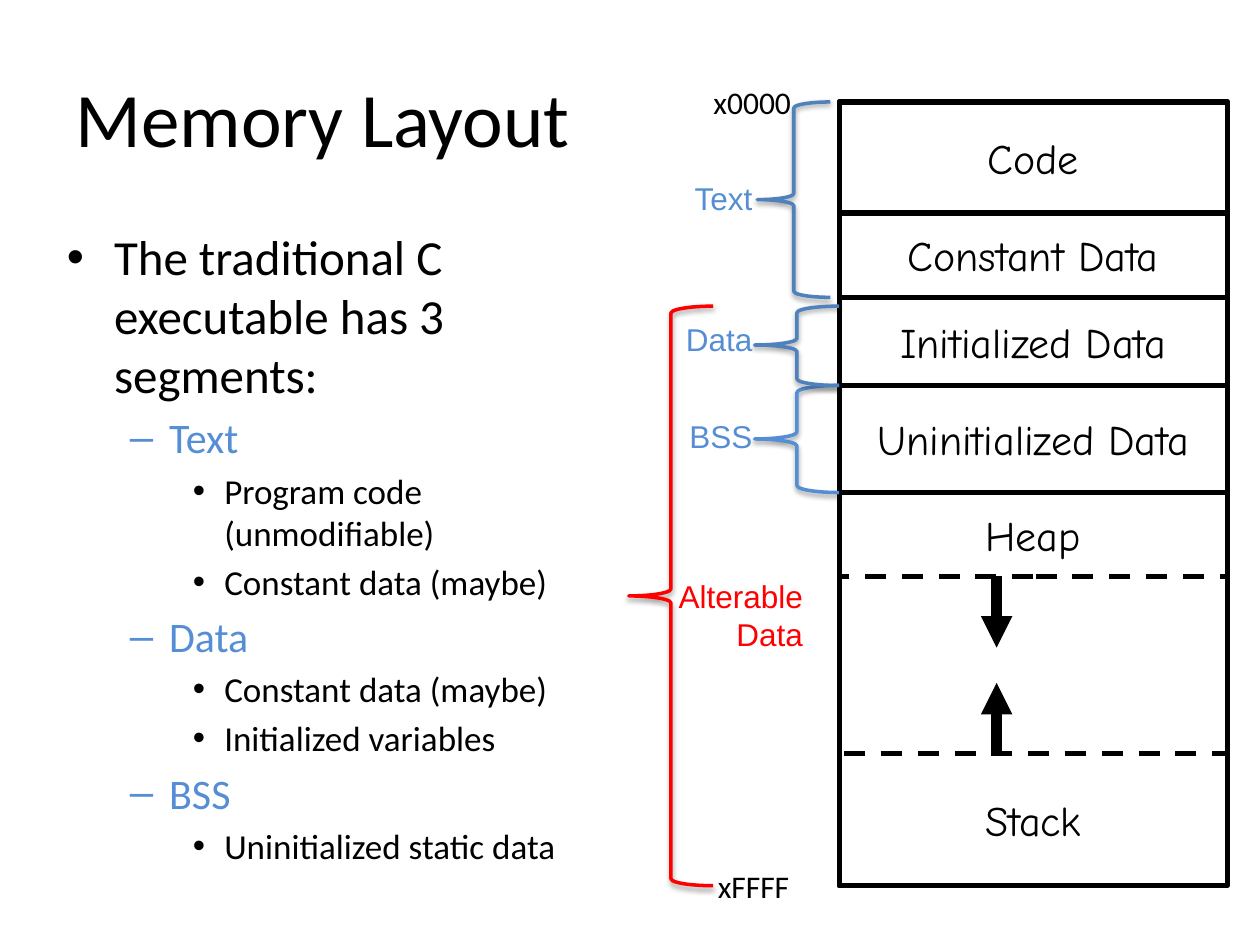
"""Build the Memory Layout slide: a segment outline beside a memory map."""
from typing import NamedTuple, Optional

import lxml.etree
import pptx
import pptx.dml.color
import pptx.enum.dml
import pptx.enum.shapes
import pptx.enum.text
import pptx.oxml.ns
import pptx.util

COLUMN = pptx.util.Inches(10) / 100
ROW = pptx.util.Inches(7.5) / 100
BLACK, BLUE, DEEP_BLUE, RED = "000000", "558ED5", "4F81BD", "FF0000"
MAP_LEFT, MAP_WIDTH, ARROW_COLUMN = 66.6, 30.8, 79.1
CODE_TOP, CONSTANT_TOP, INITIALIZED_TOP, UNINITIALIZED_TOP = 10.8, 22.53, 31.47, 40.8
HEAP_TOP, HEAP_END, STACK_TOP, MAP_END = 52.13, 61, 79.73, 93.73
DATA_TOP = 32.4
ALIGN = pptx.enum.text.PP_ALIGN
ANCHOR = pptx.enum.text.MSO_ANCHOR
AUTO_SIZE = pptx.enum.text.MSO_AUTO_SIZE
SHAPE = pptx.enum.shapes.MSO_SHAPE


class Region(NamedTuple):
    """A band of the memory map between two grid rows."""
    name: str
    top: float
    bottom: float
    dashed: bool = False


class Brace(NamedTuple):
    """A left brace spanning grid rows."""
    left: float
    width: float
    top: float
    bottom: float
    color: str
    middle: float = 0.5


class Label(NamedTuple):
    """A caption placed on the grid."""
    text: str
    left: float
    top: float
    width: float
    height: float
    font: str
    color: str
    align: ALIGN
    wrap: bool = True


class Arrow(NamedTuple):
    """A vertical growth arrow between two grid rows."""
    start: float
    end: float


class Item(NamedTuple):
    """An outline entry with its level."""
    text: str
    level: int


LEVEL_STYLES = [(28, BLACK), (24, BLUE), (20, BLACK)]
ITEMS = [
    Item("The traditional C executable has 3 segments:", 0),
    Item("Text", 1),
    Item("Program code (unmodifiable)", 2),
    Item("Constant data (maybe)", 2),
    Item("Data", 1),
    Item("Constant data (maybe)", 2),
    Item("Initialized variables", 2),
    Item("BSS", 1),
    Item("Uninitialized static data", 2),
]
REGIONS = [
    Region("Stack", STACK_TOP, MAP_END, True),
    Region("Heap", HEAP_TOP, HEAP_END, True),
    Region("", CODE_TOP, MAP_END),
    Region("Code", CODE_TOP, CONSTANT_TOP),
    Region("Constant Data", CONSTANT_TOP, INITIALIZED_TOP),
    Region("Initialized Data", INITIALIZED_TOP, UNINITIALIZED_TOP),
    Region("Uninitialized Data", UNINITIALIZED_TOP, HEAP_TOP),
]
ARROWS = [Arrow(STACK_TOP, 72.27), Arrow(HEAP_END, 68.53)]
BRACES = [
    Brace(59.9, 6.7, UNINITIALIZED_TOP, HEAP_TOP, BLUE),
    Brace(60.1, 5.8, CODE_TOP, INITIALIZED_TOP, DEEP_BLUE),
    Brace(59.9, 6.7, DATA_TOP, UNINITIALIZED_TOP, DEEP_BLUE, 0.49),
    Brace(49.9, 6.7, DATA_TOP, MAP_END, RED),
]
LABELS = [
    Label(name, 52.4, top, 8.3, 5.33, "Arial", BLUE, ALIGN.RIGHT)
    for name, top in [("Text", 18.27), ("Data", 33.2), ("BSS", 43.47)]
] + [
    Label("x0000", 55.6, 8.13, 8.2, 5.33, "Calibri", BLACK, ALIGN.CENTER, False),
    Label("xFFFF", 55.9, 91.07, 7.8, 5.33, "Calibri", BLACK, ALIGN.CENTER, False),
    Label("Alterable Data", 51.2, 60.4, 13.5, 9.47, "Arial", RED, ALIGN.RIGHT),
]


def rgb(color: str) -> pptx.dml.color.RGBColor:
    """Turn a hex string into a colour."""
    return pptx.dml.color.RGBColor.from_string(color)


def grid(left: float, top: float, width: float, height: float) -> list[int]:
    """Convert grid columns and rows into slide lengths."""
    return [round(left * COLUMN), round(top * ROW), round(width * COLUMN), round(height * ROW)]


def place(shape, left: float, top: float, width: float, height: float) -> None:
    """Move a placeholder to a grid area."""
    shape.left, shape.top, shape.width, shape.height = grid(left, top, width, height)


def write(paragraph, text: str, size: float, font: str, color: str, align: Optional[ALIGN] = None) -> None:
    """Add one formatted run to a paragraph."""
    paragraph.alignment = align
    run = paragraph.add_run()
    run.text = text
    run.font.size = pptx.util.Pt(size)
    run.font.name = font
    run.font.color.rgb = rgb(color)


def set_line(shape, color: str, width: float) -> None:
    """Give a shape or connector a solid line."""
    shape.line.color.rgb = rgb(color)
    shape.line.width = pptx.util.Pt(width)


def add_outline(slide, preset: SHAPE, area: list[int], color: str, width: float):
    """Add an unfilled preset shape without a shadow."""
    shape = slide.shapes.add_shape(preset, *area)
    shape.shadow.inherit = False
    shape.fill.background()
    set_line(shape, color, width)
    return shape


def add_child(parent, tag: str, **attributes: str):
    """Append a drawing element to an XML parent."""
    return lxml.etree.SubElement(parent, pptx.oxml.ns.qn(tag), **attributes)


def add_region(slide, region: Region) -> None:
    """Draw one band of the memory map."""
    area = grid(MAP_LEFT, region.top, MAP_WIDTH, region.bottom - region.top)
    shape = add_outline(slide, SHAPE.RECTANGLE, area, BLACK, 3)
    if region.dashed:
        shape.line.dash_style = pptx.enum.dml.MSO_LINE.DASH
    if region.name:
        shape.text_frame.word_wrap = False
        shape.text_frame.vertical_anchor = ANCHOR.MIDDLE
        write(shape.text_frame.paragraphs[0], region.name, 24, "Comic Neue", BLACK, ALIGN.CENTER)


def add_arrow(slide, arrow: Arrow) -> None:
    """Draw a thick growth arrow."""
    column = round(ARROW_COLUMN * COLUMN)
    connector = slide.shapes.add_connector(
        pptx.enum.shapes.MSO_CONNECTOR.STRAIGHT,
        column, round(arrow.start * ROW), column, round(arrow.end * ROW))
    set_line(connector, BLACK, 6)
    add_child(connector.line._get_or_add_ln(), "a:tailEnd", type="triangle")
    add_child(connector._element.spPr, "a:effectLst")


def add_brace(slide, brace: Brace) -> None:
    """Draw a left brace with a soft shadow below it."""
    area = grid(brace.left, brace.top, brace.width, brace.bottom - brace.top)
    shape = add_outline(slide, SHAPE.LEFT_BRACE, area, brace.color, 2)
    shape.adjustments[1] = brace.middle
    effects = shape._element.spPr.find(pptx.oxml.ns.qn("a:effectLst"))
    shadow = add_child(effects, "a:outerShdw", blurRad=str(pptx.util.Pt(3.1)),
                       dist=str(pptx.util.Pt(1.6)), dir="5400000", rotWithShape="0")
    add_child(add_child(shadow, "a:srgbClr", val=BLACK), "a:alpha", val="38000")


def add_label(slide, label: Label) -> None:
    """Add a caption text box."""
    box = slide.shapes.add_textbox(*grid(label.left, label.top, label.width, label.height))
    box.text_frame.word_wrap = label.wrap
    box.text_frame.auto_size = AUTO_SIZE.SHAPE_TO_FIT_TEXT
    write(box.text_frame.paragraphs[0], label.text, 18, label.font, label.color, label.align)


def fill_placeholders(slide) -> None:
    """Write the title and the segment outline."""
    title, body = slide.shapes.title, slide.placeholders[1]
    place(title, 5, 4, 90, 16.67)
    title.text_frame.vertical_anchor = ANCHOR.MIDDLE
    write(title.text_frame.paragraphs[0], "Memory Layout", 44, "Calibri", BLACK, ALIGN.LEFT)
    place(body, 4.3, 23.33, 44.2, 66)
    frame = body.text_frame
    frame.auto_size = AUTO_SIZE.NONE
    for index, item in enumerate(ITEMS):
        paragraph = frame.add_paragraph() if index else frame.paragraphs[0]
        paragraph.level = item.level
        size, color = LEVEL_STYLES[item.level]
        write(paragraph, item.text, size, "Calibri", color)
    frame.paragraphs[0].space_before = pptx.util.Pt(0)


def main() -> None:
    """Build and save the presentation."""
    presentation = pptx.Presentation()
    presentation.slide_width, presentation.slide_height = round(100 * COLUMN), round(100 * ROW)
    slide = presentation.slides.add_slide(presentation.slide_layouts[1])
    fill_placeholders(slide)
    for draw, parts in [(add_region, REGIONS), (add_arrow, ARROWS), (add_brace, BRACES), (add_label, LABELS)]:
        for part in parts:
            draw(slide, part)
    presentation.save("out.pptx")


if __name__ == "__main__":
    main()
